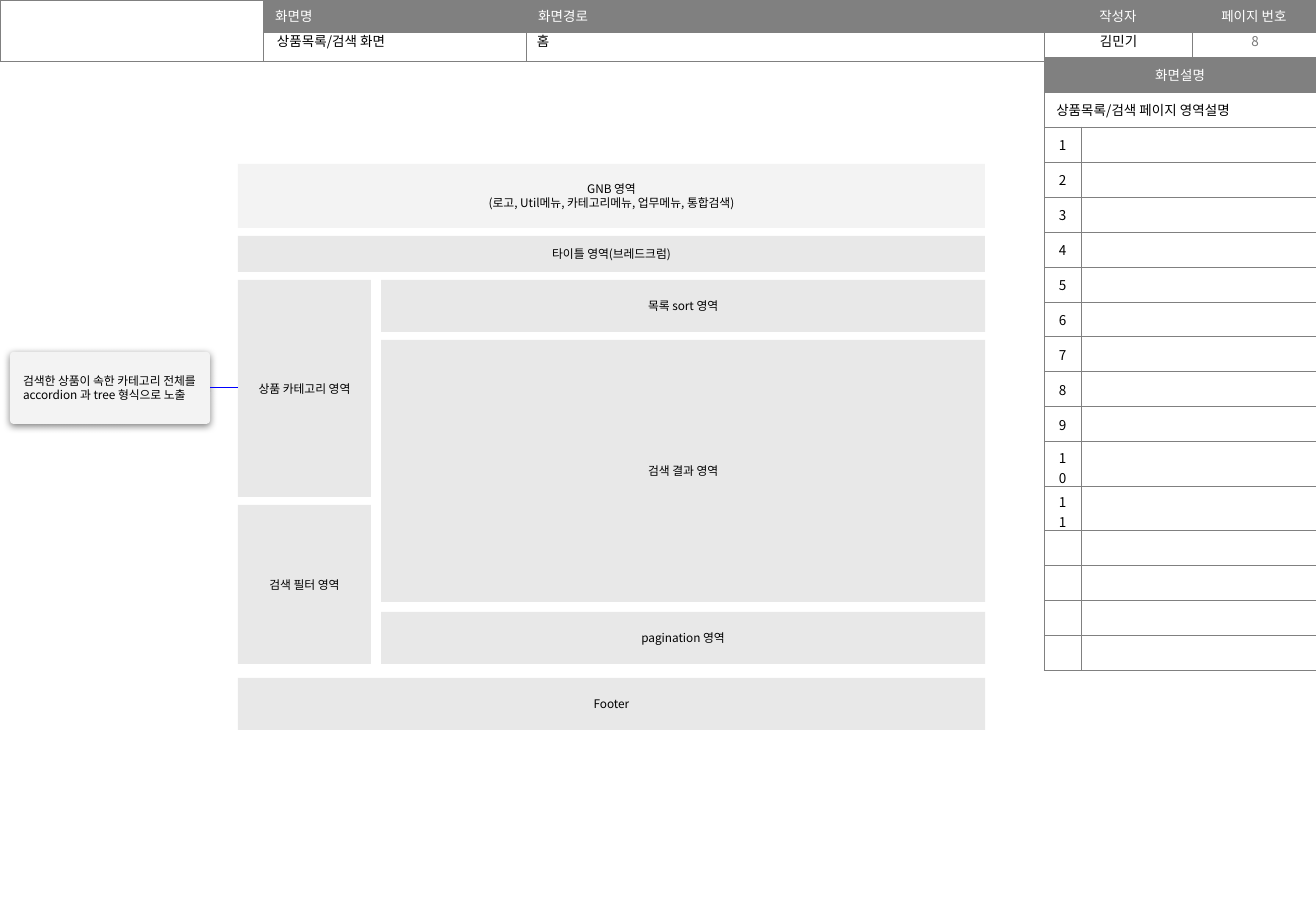
from lxml import etree
from pptx import Presentation
from pptx import util as u
from pptx.dml.color import RGBColor
from pptx.enum import shapes, text
from pptx.oxml.ns import qn

WHITE = RGBColor(0xFF, 0xFF, 0xFF)
BLACK = RGBColor(0x00, 0x00, 0x00)
GRAY = RGBColor(0x80, 0x80, 0x80)
PAGE_GRAY = RGBColor(0x79, 0x79, 0x79)
LIGHT = RGBColor(0xF3, 0xF3, 0xF3)
PANEL = RGBColor(0xE8, 0xE8, 0xE8)
BLUE = RGBColor(0x00, 0x00, 0xFF)
FONT = "Noto Sans CJK KR"
LEFT, CENTER = text.PP_ALIGN.LEFT, text.PP_ALIGN.CENTER
TOP, MIDDLE = text.MSO_ANCHOR.TOP, text.MSO_ANCHOR.MIDDLE
RECT = shapes.MSO_SHAPE.RECTANGLE
ROUND = shapes.MSO_SHAPE.ROUNDED_RECTANGLE


def px(n):
    return u.Emu(round(n * 914400 / 121.5))


def write(tf, content, size=8, color=BLACK, align=LEFT, anchor=TOP):
    tf.word_wrap = True
    tf.vertical_anchor = anchor
    for i, line in enumerate(content.split("\n")):
        p = tf.paragraphs[0] if i == 0 else tf.add_paragraph()
        p.alignment = align
        r = p.add_run()
        r.text = line
        r.font.size = u.Pt(size)
        r.font.name = FONT
        r.font.color.rgb = color
        etree.SubElement(r.font._element, qn("a:ea"), typeface=FONT)


class Wireframe:
    def __init__(self, slide):
        self.s = slide

    def label(self, x, y, w, h, content, **fmt):
        sp = self.s.shapes.add_textbox(px(x), px(y), px(w), px(h))
        write(sp.text_frame, content, **fmt)

    def area(self, x, y, w, h, content, fill=PANEL, kind=ROUND, radius=0, align=CENTER):
        sp = self.s.shapes.add_shape(kind, px(x), px(y), px(w), px(h))
        if kind == ROUND:
            sp.adjustments[0] = radius
        sp.shadow.inherit = False
        sp.fill.solid()
        sp.fill.fore_color.rgb = fill
        sp.line.fill.background()
        tf = sp.text_frame
        tf.margin_left = tf.margin_right = tf.margin_top = tf.margin_bottom = px(12)
        write(tf, content, size=7, align=align, anchor=MIDDLE)
        return sp

    def drop_shadow(self, sp):
        effects = sp._element.spPr.find(qn("a:effectLst"))
        shadow = etree.SubElement(effects, qn("a:outerShdw"), blurRad=str(u.Pt(4.5)),
                                  dist=str(u.Pt(1.5)), dir="5400000", rotWithShape="0")
        color = etree.SubElement(shadow, qn("a:srgbClr"), val=str(BLACK))
        etree.SubElement(color, qn("a:alpha"), val="49000")

    def link(self, x1, y1, x2, y2):
        c = self.s.shapes.add_connector(shapes.MSO_CONNECTOR.ELBOW,
                                        px(x1), px(y1), px(x2), px(y2))
        c.line.color.rgb = BLUE
        c.line.width = u.Pt(0.75)
        etree.SubElement(c._element.spPr, qn("a:effectLst"))

    def table(self, x, y, cols, rows):
        gf = self.s.shapes.add_table(len(rows), len(cols), px(x), px(y),
                                     px(sum(cols)), px(sum(rows)))
        t = gf.table
        t.first_row = t.horz_banding = False
        for col, w in zip(t.columns, cols):
            col.width = px(w)
        for row, h in zip(t.rows, rows):
            row.height = px(h)
        for cell in t.iter_cells():
            self.border(cell)
            cell.fill.background()
            p = cell.text_frame.paragraphs[0]
            etree.SubElement(p._p, qn("a:endParaRPr"), sz="800")
        return t

    def border(self, cell):
        tcPr = cell._tc.get_or_add_tcPr()
        for side in ("a:lnL", "a:lnR", "a:lnT", "a:lnB"):
            ln = etree.SubElement(tcPr, qn(side), w=str(u.Pt(0.25)))
            fill = etree.SubElement(ln, qn("a:solidFill"))
            etree.SubElement(fill, qn("a:srgbClr"), val=str(GRAY))

    def cell(self, cell, content, fill=None, anchor=TOP, **fmt):
        if fill is not None:
            cell.fill.solid()
            cell.fill.fore_color.rgb = fill
        write(cell.text_frame, content, **fmt)
        cell.vertical_anchor = anchor


def main():
    prs = Presentation()
    prs.slide_width, prs.slide_height = u.Inches(10.83), u.Inches(7.5)
    w = Wireframe(prs.slides.add_slide(prs.slide_layouts[6]))

    # Page header
    t = w.table(0, 0, [263, 263, 518, 148, 124], [28, 29])
    t.cell(0, 0).merge(t.cell(1, 0))
    headings = [("화면명", LEFT), ("화면경로", LEFT), ("작성자", CENTER), ("페이지 번호", CENTER)]
    for i, (name, align) in enumerate(headings, 1):
        w.cell(t.cell(0, i), name, fill=GRAY, color=WHITE, align=align)
    w.label(1044, 27, 149, 29, "김민기", align=CENTER)
    w.label(1194, 27, 122, 29, "8", color=PAGE_GRAY, align=CENTER, anchor=MIDDLE)
    w.label(265, 27, 261, 29, "상품목록/검색 화면")
    w.label(525, 27, 261, 29, "홈")

    # Description panel
    t = w.table(1044, 57, [37, 235], [35] * 17)
    for row in range(2):
        t.cell(row, 0).merge(t.cell(row, 1))
    w.cell(t.cell(0, 0), "화면설명", fill=GRAY, color=WHITE, align=CENTER, anchor=MIDDLE)
    w.cell(t.cell(1, 0), "상품목록/검색 페이지 영역설명", anchor=MIDDLE)
    for n in range(1, 12):
        w.cell(t.cell(n + 1, 0), str(n), align=CENTER, anchor=MIDDLE)

    # Screen areas
    w.area(238, 164, 747, 64, "GNB 영역\n(로고, Util메뉴, 카테고리메뉴, 업무메뉴, 통합검색)",
           fill=LIGHT, kind=RECT)
    w.area(238, 236, 747, 36, "타이틀 영역(브레드크럼)", kind=RECT)
    w.area(238, 280, 133, 217, "상품 카테고리 영역")
    w.area(238, 505, 133, 159, "검색 필터 영역")
    w.area(381, 280, 604, 52, "목록 sort 영역")
    w.area(381, 340, 604, 262, "검색 결과 영역")
    w.area(381, 612, 604, 52, "pagination 영역")
    w.area(238, 678, 747, 52, "Footer")

    # Callout
    note = w.area(10, 352, 200, 72, "검색한 상품이 속한 카테고리 전체를 accordion 과 tree 형식으로 노출",
                  fill=LIGHT, radius=0.05, align=LEFT)
    w.drop_shadow(note)
    w.link(238, 388, 210, 388)

    prs.save("out.pptx")


if __name__ == "__main__":
    main()
